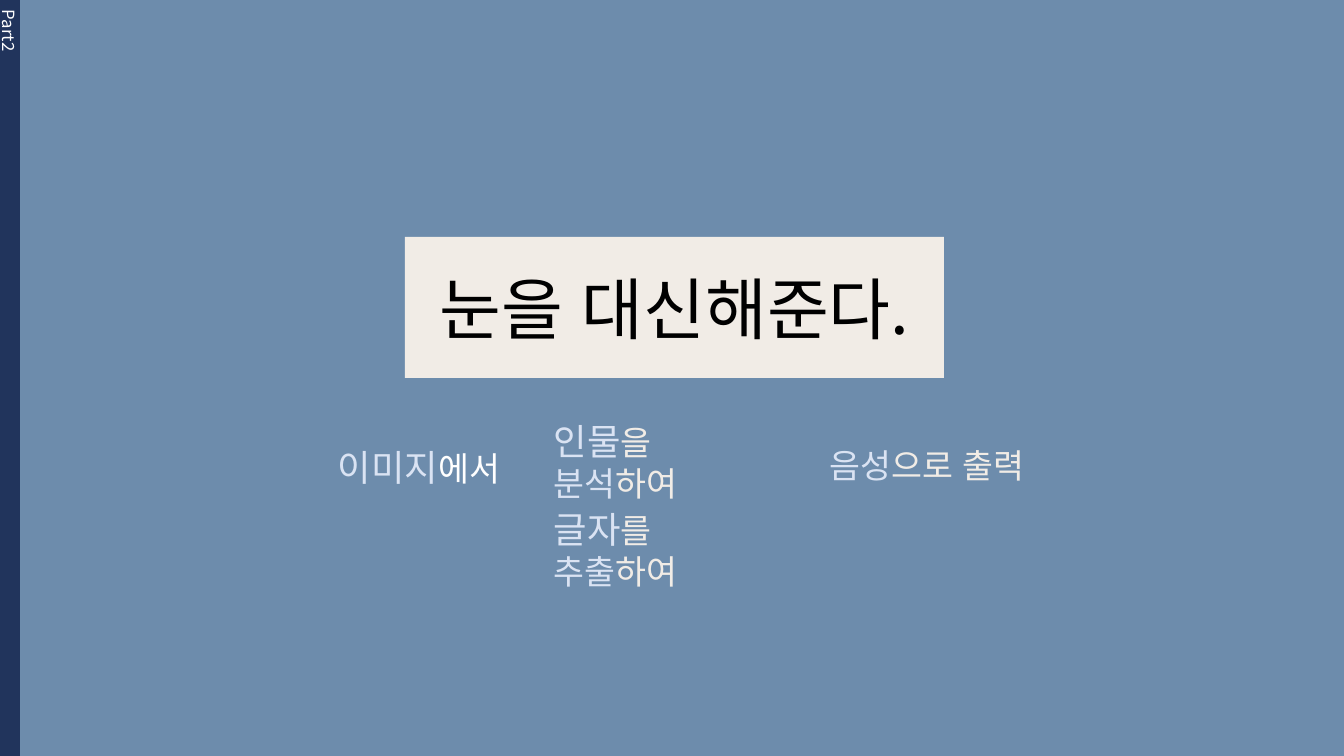
"""Build the Part2 slide: a headline panel, three step captions and a side tab."""
import dataclasses
import pptx
import pptx.dml.color
import pptx.enum.lang
import pptx.enum.shapes
import pptx.enum.text
import pptx.oxml.ns
import pptx.util
from lxml import etree


@dataclasses.dataclass(frozen=True)
class Theme:
    font: str = "Noto Sans CJK KR"
    blue: str = "6D8CAC"
    navy: str = "21345C"
    cream: str = "F1ECE6"
    pale: str = "DAE3F3"
    white: str = "FFFFFF"
    black: str = "000000"
    head: int = 48
    key: int = 26
    body: int = 24
    tab: int = 12


look = Theme()
wide, high = 1344, 756
head = ((408 - 3, 237, 539, 141), [[("눈을 대신해준다.", look.head, look.black)]])
steps = [
    ((328, 440, 184, 54),
     [[("이미지", look.key, look.pale), ("에서", look.body, look.white)]]),
    ((544, 414, 250, 103),
     [[("인물", look.key, look.pale), ("을 ", look.body, look.cream),
       ("분석", look.body, look.pale), ("하여", look.body, look.cream)],
      [("글자", look.key, look.pale), ("를 ", look.body, look.cream),
       ("추출", look.body, look.pale), ("하여", look.body, look.cream)]]),
    ((820, 440, 215, 50),
     [[("음성", look.body, look.pale), ("으로 출력", look.body, look.cream)]]),
]
strip = (0, 0, 20, high)
label = ((-85, 79, 188, 30), [[("Part2", look.tab, look.white)]])


def px(num):
    return pptx.util.Emu(round(num * 914400 / 100.8))


def tint(fill, color):
    fill.solid()
    fill.fore_color.rgb = pptx.dml.color.RGBColor.from_string(color)


def write(frame, lines, gap=0):
    frame.word_wrap = True
    frame.auto_size = pptx.enum.text.MSO_AUTO_SIZE.NONE
    for row, line in enumerate(lines):
        para = frame.add_paragraph() if row else frame.paragraphs[0]
        para.space_before = pptx.util.Pt(gap)
        for text, size, color in line:
            run = para.add_run()
            run.text = text
            run.font.size = pptx.util.Pt(size)
            run.font.name = look.font
            run.font.language_id = pptx.enum.lang.MSO_LANGUAGE_ID.KOREAN
            tint(run.font.fill, color)
            east = etree.SubElement(run.font._element, pptx.oxml.ns.qn("a:ea"))
            east.set("typeface", look.font)


def add_text(shapes, box, lines, gap=0):
    shape = shapes.add_textbox(*map(px, box))
    write(shape.text_frame, lines, gap)
    return shape


def main():
    deck = pptx.Presentation()
    deck.slide_width, deck.slide_height = px(wide), px(high)
    slide = deck.slides.add_slide(deck.slide_layouts[5])
    tint(slide.background.fill, look.blue)

    box, lines = head
    title = slide.shapes.title
    title.left, title.top, title.width, title.height = map(px, box)
    tint(title.fill, look.cream)
    write(title.text_frame, lines)
    title.text_frame.vertical_anchor = pptx.enum.text.MSO_ANCHOR.MIDDLE
    title.text_frame.paragraphs[0].alignment = pptx.enum.text.PP_ALIGN.CENTER

    for box, lines in steps:
        add_text(slide.shapes, box, lines, gap=3 if len(lines) > 1 else 0)

    side = slide.shapes.add_group_shape()
    bar = side.shapes.add_shape(pptx.enum.shapes.MSO_SHAPE.RECTANGLE, *map(px, strip))
    bar.shadow.inherit = False
    tint(bar.fill, look.navy)
    bar.line.fill.background()
    add_text(side.shapes, *label).rotation = 90

    deck.save("out.pptx")


if __name__ == "__main__":
    main()
